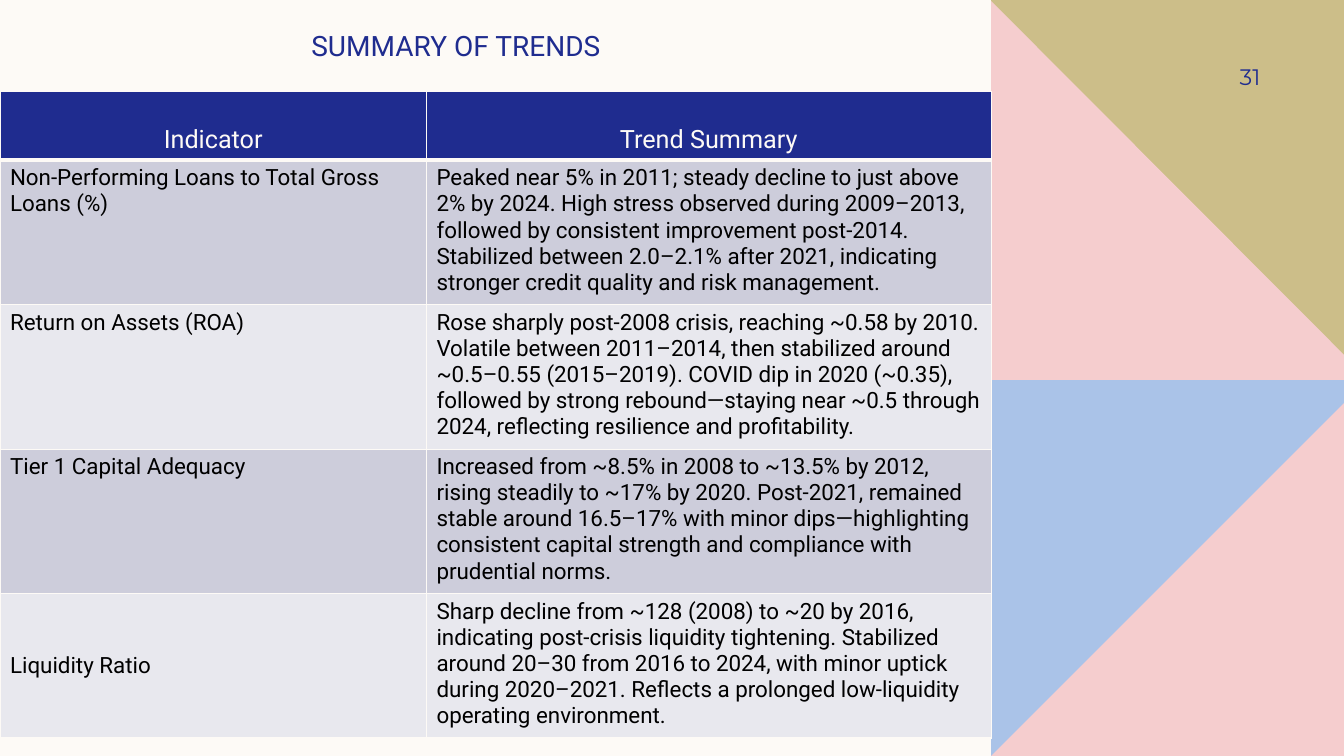
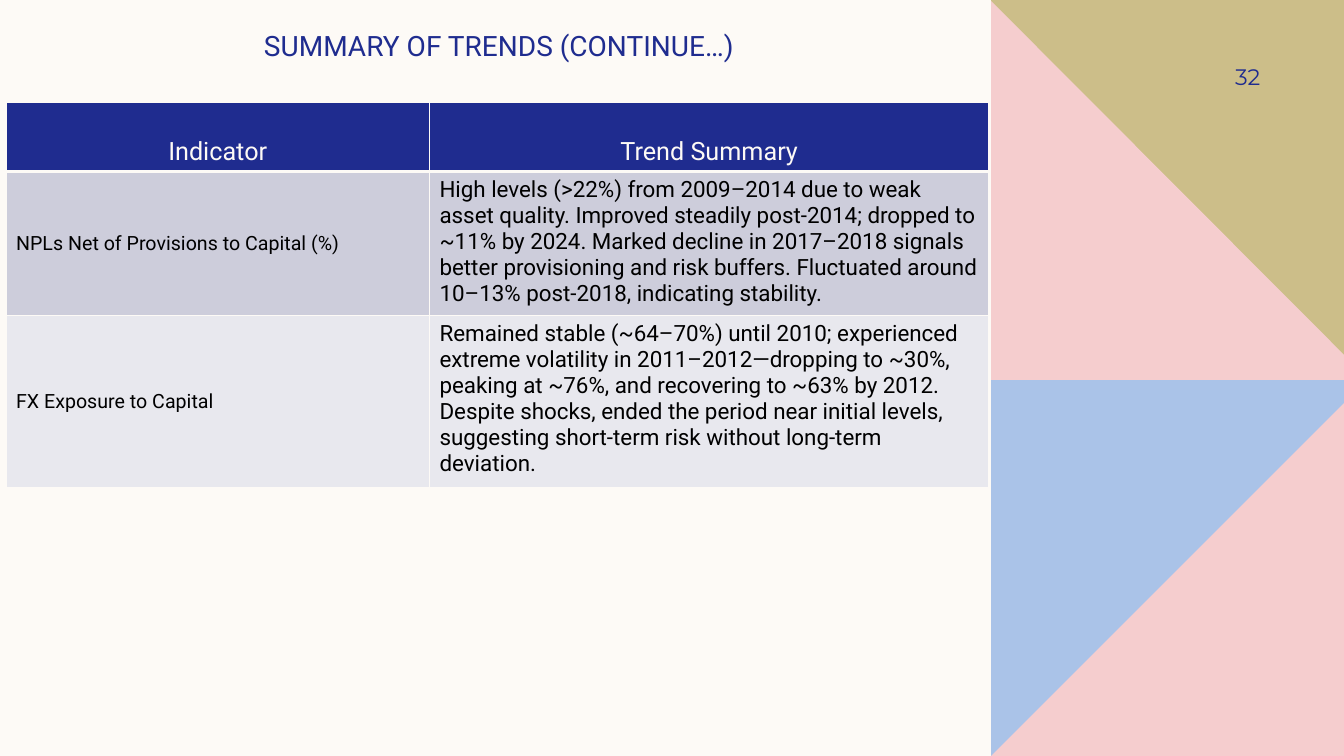
from dataclasses import dataclass

from lxml.etree import SubElement
from pptx import Presentation
from pptx.dml.color import RGBColor
from pptx.enum.text import MSO_ANCHOR, PP_ALIGN
from pptx.oxml.ns import qn
from pptx.slide import Slide
from pptx.table import _Cell
from pptx.util import Inches, Pt


@dataclass(frozen=True)
class Theme:
    cream: str = "FDFAF6"
    navy: str = "1F2C8F"
    black: str = "000000"
    blue: str = "AAC3E8"
    pink: str = "F5CDCE"
    olive: str = "CCBE89"
    bands: tuple[str, str] = ("CDCDDB", "E8E8EE")
    body_font: str = "Roboto"
    number_font: str = "Montserrat"
    title_size: int = 20
    header_size: int = 18
    body_size: int = 16
    small_size: int = 14
    number_size: int = 16
    rule: int = 1
    header_rule: int = 3


THEME = Theme()


@dataclass(frozen=True)
class Panel:
    color: str
    points: tuple[tuple[float, float], ...]


@dataclass(frozen=True)
class Trend:
    indicator: str
    summary: str
    height: float = 1.39
    indicator_anchor: MSO_ANCHOR = MSO_ANCHOR.MIDDLE


@dataclass(frozen=True)
class TrendPage:
    title: str
    title_left: float
    number: int
    left: float
    top: float
    columns: tuple[float, float]
    indicator_size: int
    trends: tuple[Trend, ...]


WIDTH, HEIGHT = 13.33, 7.5
ART_LEFT = 9.83
HEADER_HEIGHT = 0.68
HEADINGS = ("Indicator", "Trend Summary")

# Side artwork, from back to front
PANELS = (
    Panel(THEME.blue, ((ART_LEFT, 3.75), (WIDTH, 3.75), (WIDTH, HEIGHT), (ART_LEFT, HEIGHT))),
    Panel(THEME.pink, ((WIDTH, 4), (WIDTH, HEIGHT), (ART_LEFT, HEIGHT))),
    Panel(THEME.olive, ((ART_LEFT, 0), (WIDTH, 0), (WIDTH, 3.76), (ART_LEFT, 3.76))),
    Panel(THEME.pink, ((ART_LEFT, 0.01), (WIDTH, 3.52), (WIDTH, 3.77), (ART_LEFT, 3.77))),
)

PAGES = (
    TrendPage(
        "SUMMARY OF TRENDS", 2.99, 31, 0, 0.91, (4.23, 5.6), THEME.body_size,
        (
            Trend(
                "Non-Performing Loans to Total Gross Loans (%)",
                "Peaked near 5% in 2011; steady decline to just above 2% by 2024. "
                "High stress observed during 2009–2013, followed by consistent "
                "improvement post-2014. Stabilized between 2.0–2.1% after 2021, "
                "indicating stronger credit quality and risk management.",
                indicator_anchor=MSO_ANCHOR.TOP,
            ),
            Trend(
                "Return on Assets (ROA)",
                "Rose sharply post-2008 crisis, reaching ~0.58 by 2010. Volatile "
                "between 2011–2014, then stabilized around ~0.5–0.55 (2015–2019). "
                "COVID dip in 2020 (~0.35), followed by strong rebound—staying near "
                "~0.5 through 2024, reflecting resilience and profitability.",
                indicator_anchor=MSO_ANCHOR.TOP,
            ),
            Trend(
                "Tier 1 Capital Adequacy",
                "Increased from ~8.5% in 2008 to ~13.5% by 2012, rising steadily to "
                "~17% by 2020. Post-2021, remained stable around 16.5–17% with minor "
                "dips—highlighting consistent capital strength and compliance with "
                "prudential norms.",
                indicator_anchor=MSO_ANCHOR.TOP,
            ),
            Trend(
                "Liquidity Ratio",
                "Sharp decline from ~128 (2008) to ~20 by 2016, indicating post-crisis "
                "liquidity tightening. Stabilized around 20–30 from 2016 to 2024, with "
                "minor uptick during 2020–2021. Reflects a prolonged low-liquidity "
                "operating environment.",
            ),
        ),
    ),
    TrendPage(
        "SUMMARY OF TRENDS (CONTINUE…)", 2.52, 32, 0.06, 1.02, (4.2, 5.55), THEME.small_size,
        (
            Trend(
                "NPLs Net of Provisions to Capital (%)",
                "High levels (>22%) from 2009–2014 due to weak asset quality. Improved "
                "steadily post-2014; dropped to ~11% by 2024. Marked decline in "
                "2017–2018 signals better provisioning and risk buffers. Fluctuated "
                "around 10–13% post-2018, indicating stability.",
            ),
            Trend(
                "FX Exposure to Capital",
                "Remained stable (~64–70%) until 2010; experienced extreme volatility "
                "in 2011–2012—dropping to ~30%, peaking at ~76%, and recovering to "
                "~63% by 2012. Despite shocks, ended the period near initial levels, "
                "suggesting short-term risk without long-term deviation.",
                height=1.65,
            ),
        ),
    ),
)


def rgb(color: str) -> RGBColor:
    return RGBColor.from_string(color)


def style_paragraph(paragraph, font: str, size: int, color: str, align: PP_ALIGN) -> None:
    paragraph.alignment = align
    paragraph.font.name = font
    paragraph.font.size = Pt(size)
    paragraph.font.bold = False
    paragraph.font.color.rgb = rgb(color)


def add_panel(slide: Slide, panel: Panel) -> None:
    start, *rest = [(Inches(x), Inches(y)) for x, y in panel.points]
    builder = slide.shapes.build_freeform(*start)
    builder.add_line_segments(rest, close=True)
    outline = builder.convert_to_shape()
    outline.shadow.inherit = False
    outline.fill.solid()
    outline.fill.fore_color.rgb = rgb(panel.color)
    outline.line.fill.background()


def add_label(slide: Slide, text: str, box: tuple[float, float, float, float],
              font: str, size: int, align: PP_ALIGN) -> None:
    frame = slide.shapes.add_textbox(*map(Inches, box)).text_frame
    frame.word_wrap = True
    frame.vertical_anchor = MSO_ANCHOR.MIDDLE
    if align == PP_ALIGN.RIGHT:
        frame.margin_right = 0
    frame.text = text
    style_paragraph(frame.paragraphs[0], font, size, THEME.navy, align)


def set_borders(cell: _Cell, top: int, bottom: int) -> None:
    properties = cell._tc.get_or_add_tcPr()
    widths = {"a:lnL": THEME.rule, "a:lnR": THEME.rule, "a:lnT": top, "a:lnB": bottom}
    for tag, width in widths.items():
        border = SubElement(properties, qn(tag), w=str(Pt(width)))
        SubElement(SubElement(border, qn("a:solidFill")), qn("a:srgbClr"), val=THEME.cream)


def fill_cell(cell: _Cell, text: str, fill: str, size: int, color: str,
              align: PP_ALIGN, anchor: MSO_ANCHOR) -> None:
    cell.text = text
    cell.vertical_anchor = anchor
    cell.fill.solid()
    cell.fill.fore_color.rgb = rgb(fill)
    style_paragraph(cell.text_frame.paragraphs[0], THEME.body_font, size, color, align)


def add_trend_table(slide: Slide, page: TrendPage) -> None:
    heights = [HEADER_HEIGHT, *(trend.height for trend in page.trends)]
    table = slide.shapes.add_table(
        len(heights), len(page.columns), Inches(page.left), Inches(page.top),
        Inches(sum(page.columns)), Inches(sum(heights)),
    ).table
    table.horz_banding = False
    for column, width in zip(table.columns, page.columns):
        column.width = Inches(width)
    for index, height in enumerate(heights):
        table.rows[index].height = Inches(height)
        for cell in table.rows[index].cells:
            set_borders(
                cell,
                top=THEME.header_rule if index == 1 else THEME.rule,
                bottom=THEME.header_rule if index == 0 else THEME.rule,
            )

    # Header row
    for column, heading in enumerate(HEADINGS):
        fill_cell(table.cell(0, column), heading, THEME.navy, THEME.header_size,
                  THEME.cream, PP_ALIGN.CENTER, MSO_ANCHOR.BOTTOM)

    # One row per indicator
    for row, trend in enumerate(page.trends, start=1):
        band = THEME.bands[(row - 1) % 2]
        fill_cell(table.cell(row, 0), trend.indicator, band, page.indicator_size,
                  THEME.black, PP_ALIGN.LEFT, trend.indicator_anchor)
        fill_cell(table.cell(row, 1), trend.summary, band, THEME.body_size,
                  THEME.black, PP_ALIGN.LEFT, MSO_ANCHOR.TOP)


def add_page(presentation, page: TrendPage) -> None:
    slide = presentation.slides.add_slide(presentation.slide_layouts[6])
    slide.background.fill.solid()
    slide.background.fill.fore_color.rgb = rgb(THEME.cream)
    for panel in PANELS:
        add_panel(slide, panel)
    add_label(slide, page.title, (page.title_left, 0.2, 6.5, 0.5),
              THEME.body_font, THEME.title_size, PP_ALIGN.LEFT)
    add_label(slide, str(page.number), (11.42, 0.5, 1.08, 0.52),
              THEME.number_font, THEME.number_size, PP_ALIGN.RIGHT)
    add_trend_table(slide, page)


def main() -> None:
    presentation = Presentation()
    presentation.slide_width = Inches(WIDTH)
    presentation.slide_height = Inches(HEIGHT)
    for page in PAGES:
        add_page(presentation, page)
    presentation.save("out.pptx")


if __name__ == "__main__":
    main()
